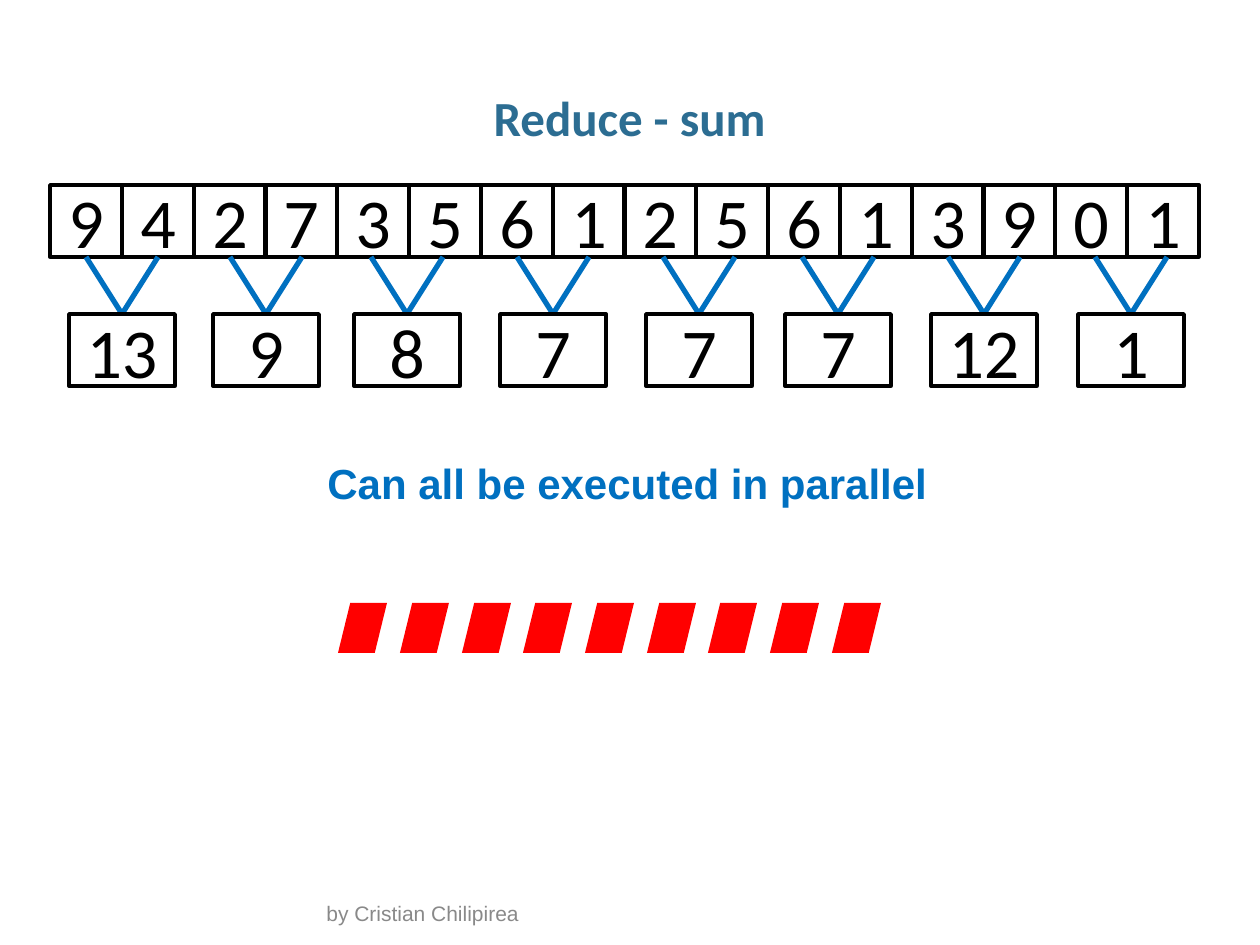
from dataclasses import dataclass

from lxml.etree import SubElement
from pptx import Presentation
from pptx.dml.color import RGBColor
from pptx.enum.shapes import MSO_CONNECTOR, MSO_SHAPE
from pptx.enum.text import MSO_ANCHOR, MSO_AUTO_SIZE, PP_ALIGN
from pptx.oxml.ns import qn
from pptx.util import Emu, Pt


@dataclass(frozen=True)
class Theme:
    """Colours, fonts and type sizes of the slide."""
    ink: RGBColor = RGBColor(0, 0, 0)
    title: RGBColor = RGBColor(0x2C, 0x6D, 0x92)
    accent: RGBColor = RGBColor(0x00, 0x70, 0xC0)
    marker: RGBColor = RGBColor(0xFF, 0, 0)
    muted: RGBColor = RGBColor(0x89, 0x89, 0x89)
    head_font: str = "Calibri"
    body_font: str = "Arial"
    title_size: int = 28
    digit_size: int = 40
    caption_size: int = 24
    footer_size: int = 12


T = Theme()
VALUES = [9, 4, 2, 7, 3, 5, 6, 1, 2, 5, 6, 1, 3, 9, 0, 1]
SUM_LEFTS = [69, 213, 354, 500, 646, 785, 931, 1078]
CELL = 72
SUM_WIDTH = 106
ROW_TOP, SUM_TOP = 185, 314
MARKERS = 9


def px(n):
    """Turn pixels into EMU."""
    return Emu(round(n * 914400 / 126))


def add_run(p, text, font, size, color, bold=False):
    """Add one formatted run to a paragraph."""
    r = p.add_run()
    r.text = text
    r.font.name = font
    r.font.size = Pt(size)
    r.font.color.rgb = color
    r.font.bold = bold


def add_text(s, box, text, font, size, color, bold=False, wrap=True):
    """Add a text box with one line and return its text frame."""
    tf = s.shapes.add_textbox(*map(px, box)).text_frame
    tf.word_wrap = wrap
    add_run(tf.paragraphs[0], text, font, size, color, bold)
    return tf


def add_number(s, left, top, width, value):
    """Add an outlined box with a centred number."""
    sp = s.shapes.add_shape(MSO_SHAPE.RECTANGLE, px(left), px(top), px(width), px(CELL))
    sp.shadow.inherit = False
    sp.fill.background()
    sp.line.color.rgb = T.ink
    sp.line.width = Pt(2)
    tf = sp.text_frame
    tf.vertical_anchor = MSO_ANCHOR.MIDDLE
    p = tf.paragraphs[0]
    p.alignment = PP_ALIGN.CENTER
    add_run(p, str(value), T.head_font, T.digit_size, T.ink)


def add_line(s, x1, y1, x2, y2):
    """Add a straight accent line."""
    line = s.shapes.add_connector(MSO_CONNECTOR.STRAIGHT, px(x1), px(y1), px(x2), px(y2))
    line.line.color.rgb = T.accent
    line.line.width = Pt(3)
    SubElement(line._element.spPr, qn("a:effectLst"))


def add_sum(s, left, value):
    """Add a pair sum with the two lines that lead into it."""
    center = left + SUM_WIDTH // 2
    for offset in (-CELL // 2, CELL // 2):
        add_line(s, center + offset, ROW_TOP + CELL, center, SUM_TOP)
    add_number(s, left, SUM_TOP, SUM_WIDTH, value)


def add_marker(s, left):
    """Add a slanted red block."""
    sp = s.shapes.add_shape(MSO_SHAPE.PARALLELOGRAM, px(left), px(603), px(49), px(50))
    sp.shadow.inherit = False
    sp.fill.solid()
    sp.fill.fore_color.rgb = T.marker
    sp.line.fill.background()


def add_title(s, text):
    """Add the centred slide title."""
    tf = add_text(s, (43, 86, 1173, 63), text, T.head_font, T.title_size, T.title, True)
    tf.margin_left = tf.margin_right = 0
    p = tf.paragraphs[0]
    p.alignment = PP_ALIGN.CENTER
    p.line_spacing = 0.95


def main():
    """Build and save the slide."""
    prs = Presentation()
    prs.slide_width, prs.slide_height = px(1260), px(945)
    s = prs.slides.add_slide(prs.slide_layouts[6])
    footer = add_text(s, (314, 902, 632, 30), "by Cristian Chilipirea",
                      T.body_font, T.footer_size, T.muted)
    footer.vertical_anchor = MSO_ANCHOR.BOTTOM
    add_title(s, "Reduce - sum")
    for i, value in enumerate(VALUES):
        add_number(s, 50 + round(i * 71.8), ROW_TOP, CELL, value)
    for left, a, b in zip(SUM_LEFTS, VALUES[::2], VALUES[1::2]):
        add_sum(s, left, a + b)
    caption = add_text(s, (315, 451, 631, 63), "Can all be executed in parallel",
                       T.body_font, T.caption_size, T.accent, True, wrap=False)
    caption.auto_size = MSO_AUTO_SIZE.SHAPE_TO_FIT_TEXT
    for i in range(MARKERS):
        add_marker(s, 338 + round(i * 61.75))
    prs.save("out.pptx")


if __name__ == "__main__":
    main()
